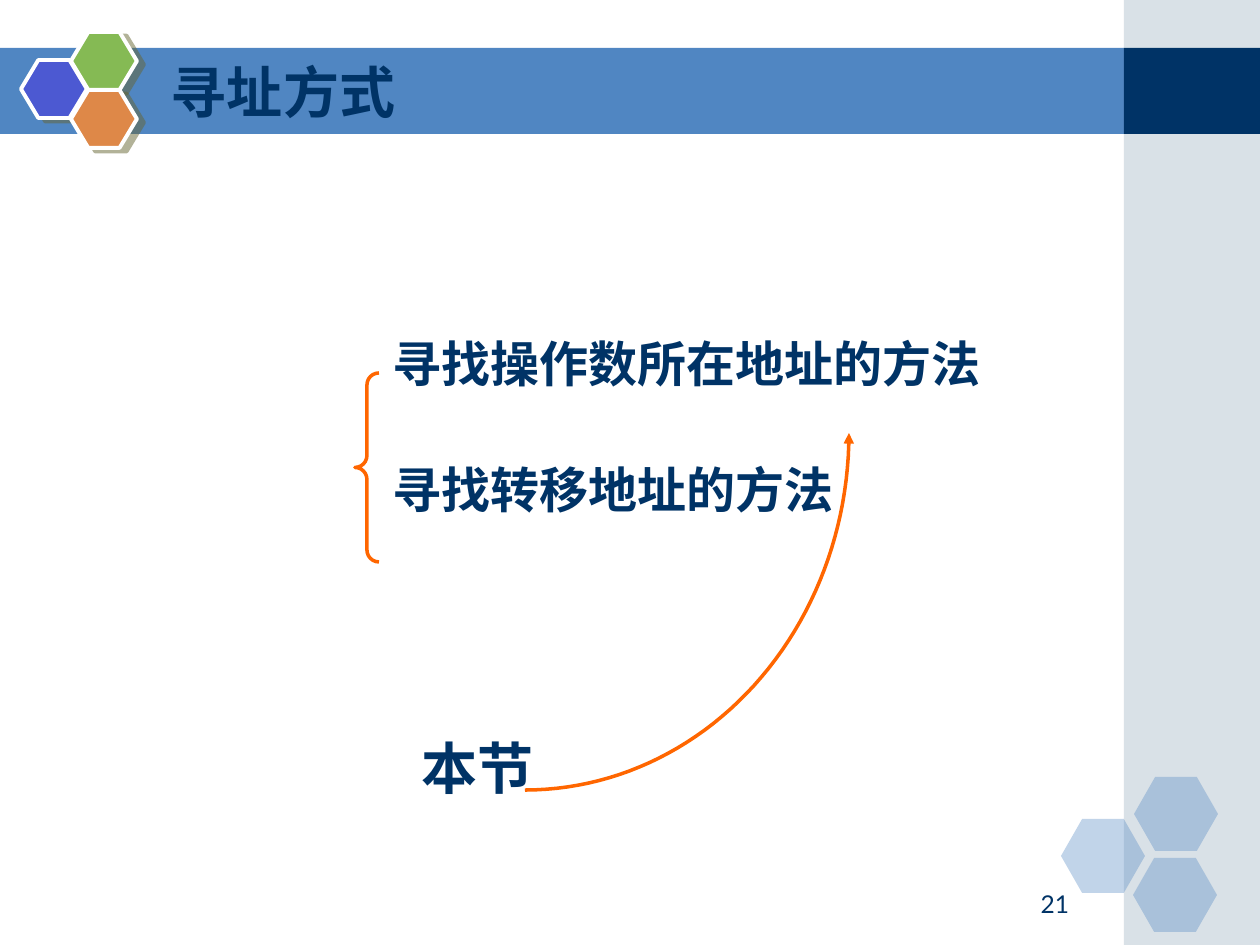
from math import cos, pi, sin

from lxml import etree
from pptx import Presentation
from pptx.dml.color import RGBColor
from pptx.enum.shapes import MSO_SHAPE
from pptx.enum.text import MSO_ANCHOR, PP_ALIGN
from pptx.oxml.ns import qn
from pptx.util import Pt

PX = 914400 / 126
RECT, HEXAGON, BRACE = MSO_SHAPE.RECTANGLE, MSO_SHAPE.HEXAGON, MSO_SHAPE.LEFT_BRACE
TOP, BOTTOM = MSO_ANCHOR.TOP, MSO_ANCHOR.BOTTOM
LEFT, RIGHT = PP_ALIGN.LEFT, PP_ALIGN.RIGHT
CJK = "Noto Sans CJK SC"
COLORS = {
    "navy": "003366", "band": "5086C2", "side": "A0B5C4", "accent": "FF6600",
    "violet": "4C59D2", "green": "85BA54", "orange": "DE8848",
    "shadow": "666633", "white": "FFFFFF",
}


def px(*lengths):
    return [round(length * PX) for length in lengths]


def color(name):
    return RGBColor.from_string(COLORS[name])


def add_alpha(color_element, percent):
    etree.SubElement(color_element, qn("a:alpha"), val=str(percent * 1000))


def style_line(shape, name, width):
    shape.line.color.rgb = color(name)
    shape.line.width = Pt(width)


def add_filled(slide, kind, box, name, alpha=None):
    shape = slide.shapes.add_shape(kind, *px(*box))
    shape.shadow.inherit = False
    shape.fill.solid()
    shape.fill.fore_color.rgb = color(name)
    shape.line.fill.background()
    if alpha:
        add_alpha(shape.element.spPr.find(qn("a:solidFill"))[0], alpha)
    return shape


def write(shape, lines, size, font, bold=True, anchor=TOP, align=LEFT, gap=0, spacing=1.0):
    frame = shape.text_frame
    frame.word_wrap = True
    frame.vertical_anchor = anchor
    for side, margin in zip(("left", "top", "right", "bottom"), px(13, 6, 13, 6)):
        setattr(frame, f"margin_{side}", margin)
    for index, line in enumerate(lines):
        paragraph = frame.add_paragraph() if index else frame.paragraphs[0]
        paragraph.alignment = align
        paragraph.line_spacing = spacing
        paragraph.space_before = Pt(gap if index else 0)
        run = paragraph.add_run()
        run.text = line
        for key, value in {"size": Pt(size), "name": font, "bold": bold}.items():
            setattr(run.font, key, value)
        run.font.color.rgb = color("navy")
        if font == CJK:
            etree.SubElement(run.font._element, qn("a:ea"), typeface=font)


def add_text(slide, box, lines, size, font, **options):
    write(slide.shapes.add_textbox(*px(*box)), lines, size, font, **options)


def draw_backdrop(slide, width, height):
    side_width, band_top, band_height = 136, 48, 86
    side_left = width - side_width
    add_filled(slide, RECT, (0, band_top, side_left, band_height), "band")
    add_filled(slide, RECT, (side_left, 0, side_width, height), "side", 40)
    add_filled(slide, RECT, (side_left, band_top, side_width, band_height), "navy")


def draw_pale_hexagons(slide, left, top):
    for dx, dy in ((0, 42), (73, 0), (72, 81)):
        cell = add_filled(slide, HEXAGON, (left + dx, top + dy, 84, 74), "band", 35)
        cell.adjustments[0] = 0.286


def draw_bright_hexagons(slide, left, top):
    for dx, dy, name in ((0, 28, "violet"), (50, 0, "green"), (50, 58, "orange")):
        cell = add_filled(slide, HEXAGON, (left + dx, top + dy, 66, 58), name)
        cell.adjustments[0] = 0.3
        style_line(cell, "white", 2.25)
        effects = cell.element.spPr.find(qn("a:effectLst"))
        shadow = etree.SubElement(effects, qn("a:outerShdw"), blurRad="0",
                                  dist=str(Pt(4.5)), dir=str(27 * 60000))
        shade = etree.SubElement(shadow, qn("a:srgbClr"), val=COLORS["shadow"])
        add_alpha(shade, 50)


def place_title(slide, box, text):
    title = slide.shapes.title
    title.left, title.top, title.width, title.height = px(*box)
    write(title, [text], 32, CJK, anchor=BOTTOM)
    title.element.getparent().append(title.element)  # in front of the band


def draw_methods(slide, left, top):
    """Two kinds of addressing, held by a brace."""
    add_text(slide, (left + 25, top, 728, 305),
             ["寻找操作数所在地址的方法", "寻找转移地址的方法"],
             28, CJK, gap=42, spacing=0.9)
    brace = slide.shapes.add_shape(BRACE, *px(left, top + 39, 24, 189))
    brace.shadow.inherit = False
    brace.fill.background()
    brace.adjustments[0] = 0.5
    style_line(brace, "accent", 2)


def draw_section_arrow(slide, left, top, width, height, steps=48):
    """Quarter ellipse from the lower left to an arrowhead at the upper right."""
    angles = [pi / 2 * step / steps for step in range(steps + 1)]
    points = [px(left + width * sin(a), top + height * cos(a)) for a in angles]
    builder = slide.shapes.build_freeform(*points[0])
    builder.add_line_segments(points[1:], close=False)
    curve = builder.convert_to_shape()
    curve.shadow.inherit = False
    curve.fill.background()
    style_line(curve, "accent", 2)
    etree.SubElement(curve.line._get_or_add_ln(), qn("a:tailEnd"), type="triangle")


def main():
    deck = Presentation()
    deck.slide_width, deck.slide_height = px(1260, 945)
    slide = deck.slides.add_slide(deck.slide_layouts[5])
    draw_backdrop(slide, 1260, 945)
    draw_pale_hexagons(slide, 1061, 777)
    draw_bright_hexagons(slide, 21, 32)
    add_text(slide, (886, 861, 196, 63), ["21"], 14, "Lato",
             bold=False, anchor=BOTTOM, align=RIGHT)
    place_title(slide, (158, 53, 924, 78), "寻址方式")
    draw_methods(slide, 355, 334)
    add_text(slide, (409, 735, 150, 81), ["本节"], 32, "Times New Roman", spacing=0.9)
    draw_section_arrow(slide, 525, 433, 324, 357)
    deck.save("out.pptx")


if __name__ == "__main__":
    main()
